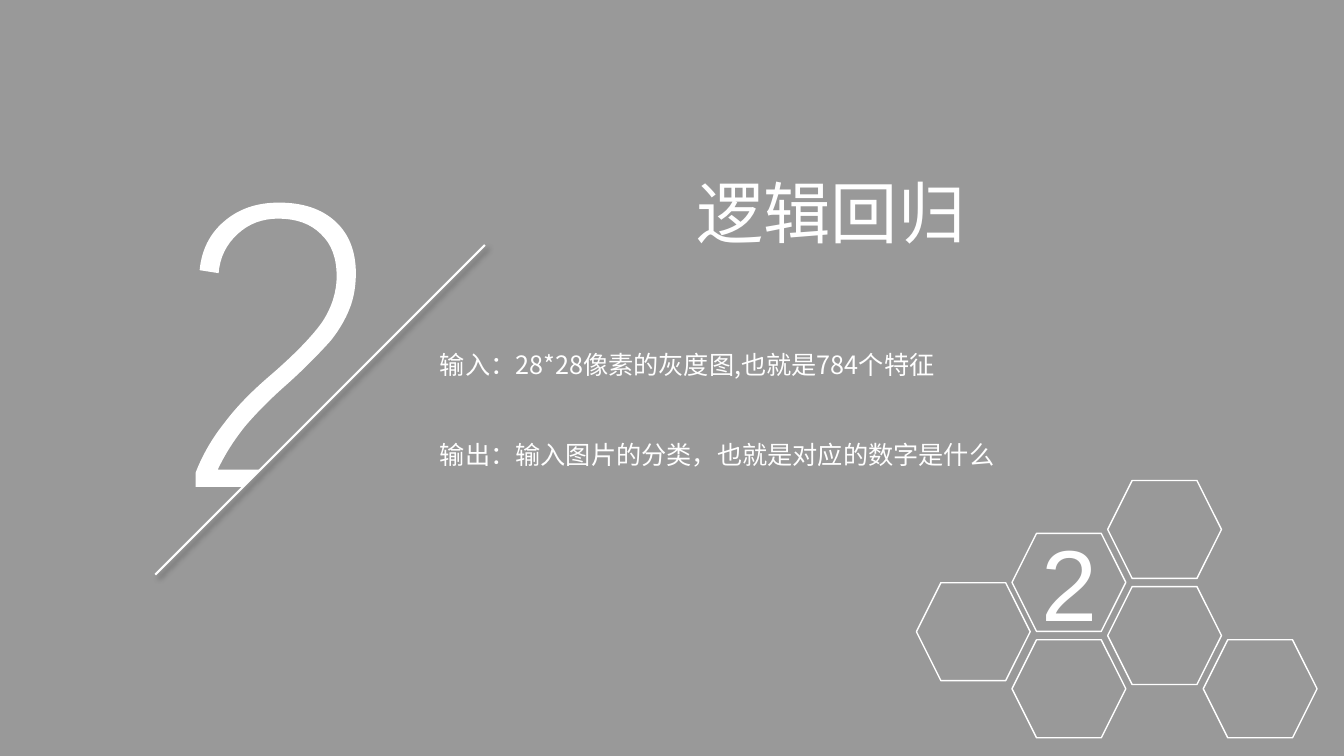
from lxml import etree
from pptx import Presentation
from pptx import util as u
from pptx.dml.color import RGBColor
from pptx.enum import shapes, text
from pptx.oxml import ns

TITLE = "逻辑回归"
POINTS = [
    "输入：28*28像素的灰度图,也就是784个特征",
    "输出：输入图片的分类，也就是对应的数字是什么",
]
CHAPTER = "2"

THEME = {
    "veil": RGBColor(0, 0, 0),
    "veil_alpha": "40000",
    "ink": RGBColor(0xFF, 0xFF, 0xFF),
    "cjk": "Noto Sans CJK SC",
    "latin": "Arial",
    "title": 48,
    "body": 18,
    "chapter": 72,
    "hexagon_line": 1,
    "slash_line": 1.5,
}

SLIDE = (960, 540)
TITLE_BOX = (490.3, 118.8, 206.6, 64.8)
BODY_BOX = (307, 246.2, 445.7, 93.6)
CHAPTER_BOX = (736.6, 368.6, 53.3, 94.3)
BODY_GAP = 42.5
SLASH = (346.3, 175, 110.9, 410.4)

HEXAGON = (81.3, 70)
HEXAGON_LEFT, HEXAGON_PITCH = 654.6, 68.3
HEXAGONS = [(1, 457), (0, 416.2), (2, 419), (3, 457), (1, 381), (2, 343.2)]

NUMERAL_START = (199.4, 144.7)
NUMERAL = [
    [(216, 144.7), (229.7, 149), (239.8, 158.4)],
    [(249.1, 167), (254.2, 179.3), (254.2, 195.1)],
    [(254.2, 204.5), (252.7, 213.1), (249.8, 220.3)],
    [(247, 227.5), (242.6, 235.4), (236.2, 243.4)],
    [(229.7, 250.6), (219.6, 261.4), (205.2, 274.3)],
    [(193.7, 284.4), (183.6, 294.5), (175, 304.6)],
    [(167, 314.6), (160.6, 324.7), (155.5, 335.5)],
    [(185.8, 335.5)],
    [(173.5, 347.8)],
    [(139.7, 347.8)],
    [(139.7, 337.7)],
    [(144.7, 324.7), (151.9, 312.5), (160.6, 301.7)],
    [(169.2, 290.2), (180.7, 278.6), (195.1, 266.4)],
    [(212.4, 251.3), (223.9, 239), (230.4, 229.7)],
    [(236.9, 219.6), (240.5, 208.8), (240.5, 197.3)],
    [(240.5, 184.3), (236.9, 174.2), (229, 167)],
    [(221.8, 159.8), (211.7, 156.2), (198.7, 156.2)],
    [(187.2, 156.2), (177.8, 159.8), (169.9, 167)],
    [(162, 174.2), (157, 183.6), (156.2, 195.1)],
    [(142.6, 193)],
    [(144, 178.6), (149.8, 167), (159.8, 158.4)],
    [(170.6, 149), (183.6, 144.7), (199.4, 144.7)],
]


def pts(values):
    return [u.Pt(v) for v in values]


def write(sp, box, lines, size, font, align, wrap=True, gap=0):
    sp.left, sp.top, sp.width, sp.height = pts(box)
    tf = sp.text_frame
    tf.text = "\n".join(lines)
    tf.auto_size = text.MSO_AUTO_SIZE.NONE
    tf.word_wrap = wrap
    tf.vertical_anchor = text.MSO_ANCHOR.TOP
    for i, p in enumerate(tf.paragraphs):
        p.alignment = align
        p.space_before = u.Pt(gap if i else 0)
        pPr = p._p.get_or_add_pPr()
        pPr.set("marL", "0")
        pPr.set("indent", "0")
        etree.SubElement(pPr, ns.qn("a:buNone"))
        for r in p.runs:
            r.font.size = u.Pt(size)
            r.font.name = font
            r.font.color.rgb = THEME["ink"]
            ea = etree.SubElement(r._r.get_or_add_rPr(), ns.qn("a:ea"))
            ea.set("typeface", font)


def add_veil(s):
    veil = s.shapes.add_shape(shapes.MSO_SHAPE.RECTANGLE, 0, 0, *pts(SLIDE))
    veil.shadow.inherit = False
    veil.line.fill.background()
    veil.fill.solid()
    veil.fill.fore_color.rgb = THEME["veil"]
    color = veil._element.spPr.find(".//" + ns.qn("a:srgbClr"))
    etree.SubElement(color, ns.qn("a:alpha"), val=THEME["veil_alpha"])
    s.shapes._spTree.insert(2, veil._element)


def add_numeral(group):
    builder = group.shapes.build_freeform(*pts(NUMERAL_START), scale=1.0)
    vertices = [pts(point) for segment in NUMERAL for point in segment]
    builder.add_line_segments(vertices, close=True)
    sp = builder.convert_to_shape()
    sp.shadow.inherit = False
    sp.fill.solid()
    sp.fill.fore_color.rgb = THEME["ink"]
    sp.line.fill.background()
    steps = iter(list(sp._element.spPr.iter(ns.qn("a:lnTo"))))
    for segment in NUMERAL:
        first, *others = [next(steps) for _ in segment]
        if others:
            first.tag = ns.qn("a:cubicBezTo")
        for step in others:
            first.append(step[0])
            step.getparent().remove(step)


def add_slash(group):
    line = group.shapes.add_connector(shapes.MSO_CONNECTOR.STRAIGHT, *pts(SLASH))
    line.line.color.rgb = THEME["ink"]
    line.line.width = u.Pt(THEME["slash_line"])
    effects = etree.SubElement(line._element.spPr, ns.qn("a:effectLst"))
    shadow = etree.SubElement(
        effects, ns.qn("a:outerShdw"), blurRad=str(u.Pt(4)), dist=str(u.Pt(3)),
        dir="2700000", algn="tl", rotWithShape="0",
    )
    color = etree.SubElement(shadow, ns.qn("a:srgbClr"), val="000000")
    etree.SubElement(color, ns.qn("a:alpha"), val="40000")


def add_hexagon(group, column, top):
    left = HEXAGON_LEFT + column * HEXAGON_PITCH
    sp = group.shapes.add_shape(
        shapes.MSO_SHAPE.HEXAGON, *pts((left, top, *HEXAGON))
    )
    sp.adjustments[0] = 0.25
    sp.shadow.inherit = False
    sp.fill.background()
    sp.line.color.rgb = THEME["ink"]
    sp.line.width = u.Pt(THEME["hexagon_line"])


def main():
    prs = Presentation()
    prs.slide_width, prs.slide_height = pts(SLIDE)
    s = prs.slides.add_slide(prs.slide_layouts[1])
    add_veil(s)

    numeral = s.shapes.add_group_shape()
    add_numeral(numeral)
    add_slash(numeral)

    honeycomb = s.shapes.add_group_shape()
    for column, top in HEXAGONS:
        add_hexagon(honeycomb, column, top)

    align = text.PP_ALIGN
    write(s.shapes.title, TITLE_BOX, [TITLE], THEME["title"], THEME["cjk"],
          align.LEFT, wrap=False)
    write(s.placeholders[1], BODY_BOX, POINTS, THEME["body"], THEME["cjk"],
          align.JUSTIFY, gap=BODY_GAP)
    chapter = s.shapes.add_textbox(*pts(CHAPTER_BOX))
    write(chapter, CHAPTER_BOX, [CHAPTER], THEME["chapter"], THEME["latin"],
          align.LEFT)

    prs.save("out.pptx")


if __name__ == "__main__":
    main()
